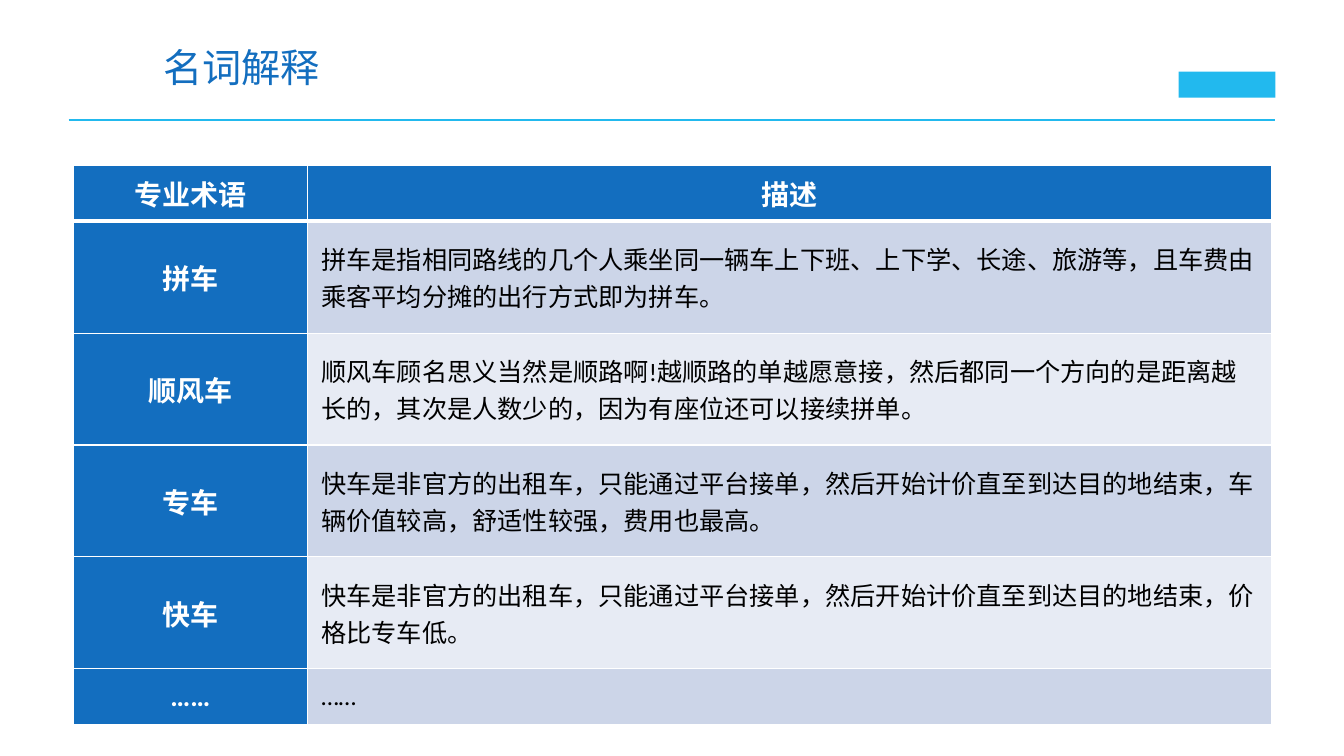
from lxml.etree import SubElement
from pptx import Presentation
from pptx.dml.color import RGBColor
from pptx.enum.shapes import MSO_CONNECTOR, MSO_SHAPE
from pptx.enum.text import MSO_ANCHOR, PP_ALIGN
from pptx.oxml import parse_xml
from pptx.oxml.ns import nsdecls, qn
from pptx.util import Inches, Pt

WIDTH, HEIGHT = Inches(13.33), Inches(7.5)

THEME = {
    "blue": "136EBF",
    "cyan": "22B9EE",
    "white": "FFFFFF",
    "black": "000000",
    "bands": ("CCD5E8", "E7EBF4"),
    "latin": "Calibri",
    "chinese": "Noto Sans CJK SC",
    "title": {"size": Pt(28), "bold": False},
    "term": {"size": Pt(20), "bold": True},
    "description": {"size": Pt(18), "bold": False},
}

HEADINGS = ("专业术语", "描述")
GLOSSARY = (
    ("拼车", "拼车是指相同路线的几个人乘坐同一辆车上下班、上下学、长途、旅游等，且车费由乘客平均分摊的出行方式即为拼车。"),
    ("顺风车", "顺风车顾名思义当然是顺路啊!越顺路的单越愿意接，然后都同一个方向的是距离越长的，其次是人数少的，因为有座位还可以接续拼单。"),
    ("专车", "快车是非官方的出租车，只能通过平台接单，然后开始计价直至到达目的地结束，车辆价值较高，舒适性较强，费用也最高。"),
    ("快车", "快车是非官方的出租车，只能通过平台接单，然后开始计价直至到达目的地结束，价格比专车低。"),
    ("……", "……"),
)
ROW_UNITS = (1, 2, 2, 2, 2, 1)
COLUMN_SHARES = (0.195, 0.805)


def rgb(name):
    return RGBColor.from_string(THEME.get(name, name))


def across(inches):
    return int(WIDTH * inches / 13.33)


def down(inches):
    return int(HEIGHT * inches / 7.5)


def apply(target, values):
    for attribute, value in values.items():
        setattr(target, attribute, value)


def write(frame, wording, style, colour, latin, align):
    paragraph = frame.paragraphs[0]
    paragraph.alignment = align
    run = paragraph.add_run()
    run.text = wording
    apply(run.font, {**THEME[style], "name": THEME[latin]})
    run.font.color.rgb = rgb(colour)
    SubElement(run.font._element, qn("a:ea"), typeface=THEME["chinese"])


def add_title(slide, wording):
    title = slide.shapes.title
    apply(title, {"left": across(1.52), "top": down(0.38),
                  "width": across(11.19), "height": down(0.57)})
    title.text_frame.vertical_anchor = MSO_ANCHOR.MIDDLE
    write(title.text_frame, wording, "title", "blue", "chinese", PP_ALIGN.LEFT)


def add_header_rule(slide):
    rule = slide.shapes.add_connector(
        MSO_CONNECTOR.STRAIGHT, across(0.68), down(1.19), across(12.65), down(1.19))
    rule.line.color.rgb = rgb("cyan")
    rule.line.width = Pt(2)
    SubElement(rule._element.spPr, qn("a:effectLst"))


def add_emblem(slide):
    emblem = slide.shapes.add_shape(
        MSO_SHAPE.RECTANGLE, across(11.69), down(0.71), across(0.96), down(0.26))
    emblem.shadow.inherit = False
    emblem.fill.solid()
    emblem.fill.fore_color.rgb = rgb("cyan")
    emblem.line.fill.background()


def set_borders(cell, row):
    widths = {"L": 1, "R": 1, "T": 3 if row == 1 else 1, "B": 3 if row == 0 else 1}
    properties = cell._tc.get_or_add_tcPr()
    for position, (side, points) in enumerate(widths.items()):
        properties.insert(position, parse_xml(
            f'<a:ln{side} {nsdecls("a")} w="{Pt(points)}"><a:solidFill>'
            f'<a:srgbClr val="{THEME["white"]}"/></a:solidFill></a:ln{side}>'))


def fill_cell(cell, wording, row, column):
    is_label = row == 0 or column == 0
    apply(cell, {"margin_left": Inches(0.14), "margin_right": Inches(0.14),
                 "margin_top": 0, "margin_bottom": 0,
                 "vertical_anchor": MSO_ANCHOR.MIDDLE})
    cell.fill.solid()
    cell.fill.fore_color.rgb = rgb("blue" if is_label else THEME["bands"][(row - 1) % 2])
    set_borders(cell, row)
    if is_label:
        write(cell.text_frame, wording, "term", "white", "latin", PP_ALIGN.CENTER)
    else:
        write(cell.text_frame, wording, "description", "black", "latin", PP_ALIGN.LEFT)


def add_glossary(slide):
    entries = (HEADINGS, *GLOSSARY)
    width, height = across(11.88), down(5.55)
    glossary = slide.shapes.add_table(
        len(entries), len(HEADINGS), across(0.73), down(1.64), width, height).table
    for column, share in zip(glossary.columns, COLUMN_SHARES):
        column.width = int(width * share)
    for row, units in zip(glossary.rows, ROW_UNITS):
        row.height = int(height * units / sum(ROW_UNITS))
    for row, entry in enumerate(entries):
        for column, wording in enumerate(entry):
            fill_cell(glossary.cell(row, column), wording, row, column)


def main():
    deck = Presentation()
    apply(deck, {"slide_width": WIDTH, "slide_height": HEIGHT})
    slide = deck.slides.add_slide(deck.slide_layouts.get_by_name("Title Only"))
    add_header_rule(slide)
    add_emblem(slide)
    add_glossary(slide)
    add_title(slide, "名词解释")
    deck.save("out.pptx")


if __name__ == "__main__":
    main()
